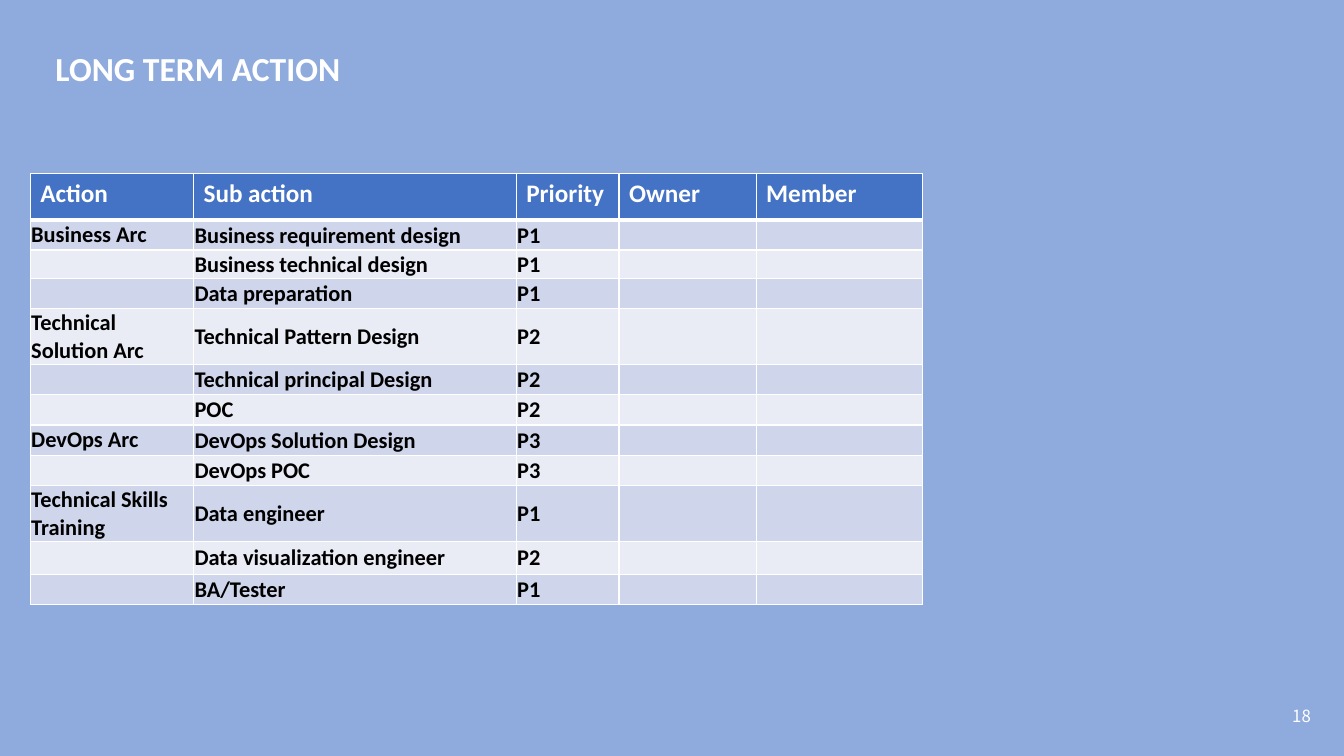
from dataclasses import dataclass

from lxml.etree import SubElement
from pptx import Presentation
from pptx.dml.color import RGBColor
from pptx.enum.text import MSO_ANCHOR as Anchor, MSO_AUTO_SIZE as AutoSize, PP_ALIGN as Align
from pptx.oxml.ns import qn
from pptx.util import Inches, Pt


@dataclass(frozen=True)
class Theme:
    background: str = "8FAADC"
    white: str = "FFFFFF"
    black: str = "000000"
    header: str = "4472C4"
    bands: tuple = ("CFD5EA", "E9EBF5")
    font: str = "Calibri"
    number_font: str = "Noto Sans CJK SC"
    title_size: int = 24
    header_size: int = 18
    body_size: int = 16
    number_size: int = 12
    thin: int = 1
    thick: int = 3


HEADINGS = ("Action", "Sub action", "Priority", "Owner", "Member")
ACTIONS = (
    ("Business Arc", "Business requirement design", "P1"),
    ("", "Business technical design", "P1"),
    ("", "Data preparation", "P1"),
    ("Technical Solution Arc", "Technical Pattern Design", "P2"),
    ("", "Technical principal Design", "P2"),
    ("", "POC", "P2"),
    ("DevOps Arc", "DevOps Solution Design", "P3"),
    ("", "DevOps POC", "P3"),
    ("Technical Skills Training", "Data engineer", "P1"),
    ("", "Data visualization engineer", "P2"),
    ("", "BA/Tester", "P1"),
)
COLUMN_WIDTHS = (1.62, 3.2, 1.02, 1.36, 1.65)
ROW_HEIGHTS = (0.46, 0.3, 0.28, 0.3, 0.55, 0.3, 0.3, 0.3, 0.3, 0.55, 0.33, 0.3)


class PageBuilder:
    def __init__(self, page, theme):
        self.page = page
        self.theme = theme
        page.background.fill.solid()
        page.background.fill.fore_color.rgb = RGBColor.from_string(theme.background)

    def style(self, para, size, color, bold=True, font=None):
        para.font.name = font or self.theme.font
        para.font.size = Pt(size)
        para.font.bold = bold
        para.font.color.rgb = RGBColor.from_string(color)

    def title(self, text, left, top, width, height):
        box = self.page.shapes.title
        box.left, box.top = Inches(left), Inches(top)
        box.width, box.height = Inches(width), Inches(height)
        frame = box.text_frame
        frame.text = text
        frame.auto_size = AutoSize.NONE
        frame.vertical_anchor = Anchor.BOTTOM
        para = frame.paragraphs[0]
        para.alignment = Align.LEFT
        para.line_spacing = 1.7
        self.style(para, self.theme.title_size, self.theme.white)

    def page_number(self, text, left, top, width, height):
        box = self.page.shapes.add_textbox(*map(Inches, (left, top, width, height)))
        box.text_frame.word_wrap = True
        para = box.text_frame.paragraphs[0]
        para.text = text
        para.alignment = Align.RIGHT
        self.style(para, self.theme.number_size, self.theme.white, False, self.theme.number_font)

    def borders(self, cell, top, bottom):
        properties = cell._tc.get_or_add_tcPr()
        thin = self.theme.thin
        for side, width in (("L", thin), ("R", thin), ("T", top), ("B", bottom)):
            line = SubElement(properties, qn(f"a:ln{side}"), w=str(Pt(width)))
            fill = SubElement(line, qn("a:solidFill"))
            SubElement(fill, qn("a:srgbClr"), val=self.theme.white)

    def cell(self, cell, text, row, column):
        theme = self.theme
        is_header = row == 0
        self.borders(cell, theme.thick if row == 1 else theme.thin,
                     theme.thick if is_header else theme.thin)
        cell.fill.solid()
        fill = theme.header if is_header else theme.bands[(row - 1) % 2]
        cell.fill.fore_color.rgb = RGBColor.from_string(fill)
        para = cell.text_frame.paragraphs[0]
        if is_header:
            self.style(para, theme.header_size, theme.white)
        else:
            cell.margin_left = cell.margin_right = cell.margin_top = Inches(0.01)
            cell.margin_bottom = 0
            cell.vertical_anchor = Anchor.MIDDLE if column else Anchor.TOP
            self.style(para, theme.body_size, theme.black)
        if text:
            para.text = text
        else:
            # An empty cell keeps the body size, so its row does not grow
            SubElement(para._p, qn("a:endParaRPr"), sz=str(theme.body_size * 100))

    def table(self, rows, left, top, widths, heights):
        frame = self.page.shapes.add_table(
            len(heights), len(widths), Inches(left), Inches(top),
            Inches(sum(widths)), Inches(sum(heights)))
        table = frame.table
        for column, width in zip(table.columns, widths):
            column.width = Inches(width)
        for row, height in zip(table.rows, heights):
            row.height = Inches(height)
        for row, texts in enumerate(rows):
            for column in range(len(widths)):
                text = texts[column] if column < len(texts) else ""
                self.cell(table.cell(row, column), text, row, column)


def main():
    deck = Presentation()
    deck.slide_width, deck.slide_height = Inches(13.33), Inches(7.5)
    title_only = deck.slide_layouts[5]
    builder = PageBuilder(deck.slides.add_slide(title_only), Theme())

    # Heading
    builder.title("LONG TERM ACTION", 0.45, 0.1, 11.87, 0.83)

    # Action plan
    builder.table((HEADINGS, *ACTIONS), 0.3, 1.72, COLUMN_WIDTHS, ROW_HEIGHTS)

    # Footer
    builder.page_number("18", 10.1, 6.95, 3, 0.4)

    deck.save("out.pptx")


if __name__ == "__main__":
    main()
